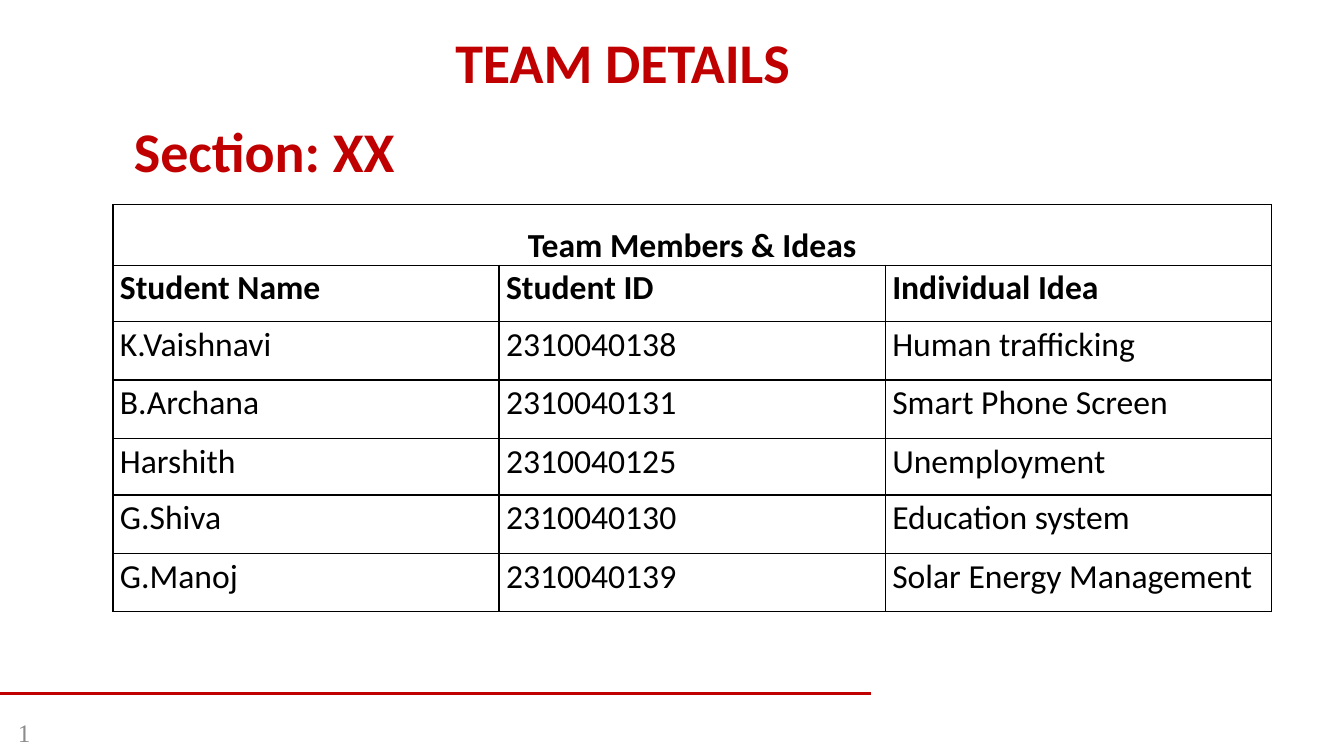
from lxml import etree
from pptx import Presentation
from pptx import util as u
from pptx.dml.color import RGBColor
from pptx.enum import shapes, text
from pptx.oxml import ns

RED = RGBColor(0xC0, 0x00, 0x00)
BLACK = RGBColor(0x00, 0x00, 0x00)
GREY = RGBColor(0x8C, 0x8C, 0x8C)

TABLE_TITLE = "Team Members & Ideas"
HEADINGS = ("Student Name", "Student ID", "Individual Idea")
MEMBERS = (
    ("K.Vaishnavi", "2310040138", "Human trafficking"),
    ("B.Archana", "2310040131", "Smart Phone Screen"),
    ("Harshith", "2310040125", "Unemployment"),
    ("G.Shiva", "2310040130", "Education system"),
    ("G.Manoj", "2310040139", "Solar Energy Management"),
)
ROW_HEIGHTS = (0.58, 0.56, 0.58, 0.58, 0.56, 0.58, 0.58)
COLUMN_WIDTH = 3.83


class TeamPage:
    """Holds the style and the current slide."""

    font = "Calibri"
    heading_size = 40
    cell_size = 24

    def __init__(self, deck):
        self.page = deck.slides.add_slide(deck.slide_layouts[5])

    def set_text(self, frame, words, size, color, bold=False, font=None,
                 align=text.PP_ALIGN.LEFT):
        frame.text = words
        para = frame.paragraphs[0]
        para.alignment = align
        para.font.name = font or self.font
        para.font.size = u.Pt(size)
        para.font.bold = bold
        para.font.color.rgb = color
        return para

    def title(self, words, left, top, width, height):
        box = self.page.shapes.title
        box.left, box.top = u.Inches(left), u.Inches(top)
        box.width, box.height = u.Inches(width), u.Inches(height)
        frame = box.text_frame
        frame.vertical_anchor = text.MSO_ANCHOR.TOP
        frame.auto_size = text.MSO_AUTO_SIZE.SHAPE_TO_FIT_TEXT
        self.set_text(frame, words, self.heading_size, RED, bold=True,
                      align=text.PP_ALIGN.CENTER)

    def label(self, words, left, top, width, height, size, color,
              anchor=text.MSO_ANCHOR.TOP, **style):
        box = self.page.shapes.add_textbox(
            u.Inches(left), u.Inches(top), u.Inches(width), u.Inches(height))
        frame = box.text_frame
        frame.word_wrap = True
        frame.vertical_anchor = anchor
        self.set_text(frame, words, size, color, **style)

    def rule(self, left, right, top, color, width):
        line = self.page.shapes.add_connector(
            shapes.MSO_CONNECTOR.STRAIGHT, u.Inches(left), u.Inches(top),
            u.Inches(right), u.Inches(top))
        line.line.color.rgb = color
        line.line.width = u.Pt(width)
        etree.SubElement(line._element.spPr, ns.qn("a:effectLst"))

    def border(self, cell):
        props = cell._tc.get_or_add_tcPr()
        for position, side in enumerate(("lnL", "lnR", "lnT", "lnB")):
            edge = etree.Element(ns.qn(f"a:{side}"), w=str(u.Pt(1)))
            fill = etree.SubElement(edge, ns.qn("a:solidFill"))
            etree.SubElement(fill, ns.qn("a:srgbClr"), val=str(BLACK))
            props.insert(position, edge)

    def cell(self, cell, words, bold):
        cell.fill.background()
        cell.margin_left = cell.margin_right = u.Inches(0.07)
        cell.margin_top = cell.margin_bottom = 0
        self.border(cell)
        para = self.set_text(cell.text_frame, words, self.cell_size, BLACK,
                             bold)
        para.line_spacing = 1.07
        para.space_after = u.Pt(8)

    def table(self, title, headings, records, left, top):
        rows = [(title, "", ""), headings, *records]
        table = self.page.shapes.add_table(
            len(rows), len(headings), u.Inches(left), u.Inches(top),
            u.Inches(COLUMN_WIDTH * len(headings)),
            u.Inches(sum(ROW_HEIGHTS))).table
        table.horz_banding = False
        for column in table.columns:
            column.width = u.Inches(COLUMN_WIDTH)
        for r, (values, height) in enumerate(zip(rows, ROW_HEIGHTS)):
            table.rows[r].height = u.Inches(height)
            for c, value in enumerate(values):
                self.cell(table.cell(r, c), value, bold=r < 2)

        # Title row across all columns
        table.cell(0, 0).merge(table.cell(0, len(headings) - 1))
        para = table.cell(0, 0).text_frame.paragraphs[0]
        para.alignment = text.PP_ALIGN.CENTER
        para.line_spacing = 1.5
        para.space_after = u.Pt(0)


def main():
    deck = Presentation()
    deck.slide_width, deck.slide_height = u.Inches(13.33), u.Inches(7.5)
    team = TeamPage(deck)

    # Footer
    team.rule(0, 8.64, 6.88, RED, 1.5)
    team.label("1", 0.08, 7.07, 3, 0.4, 18, GREY, text.MSO_ANCHOR.MIDDLE,
               font="Times New Roman")

    # Headings
    team.title("TEAM DETAILS", 2.84, 0.22, 6.67, 0.77)
    team.label("Section: XX", 1.23, 1.11, 6.67, 0.77, team.heading_size, RED,
               bold=True)

    # Members
    team.table(TABLE_TITLE, HEADINGS, MEMBERS, 1.12, 2.03)

    deck.save("out.pptx")


if __name__ == "__main__":
    main()
